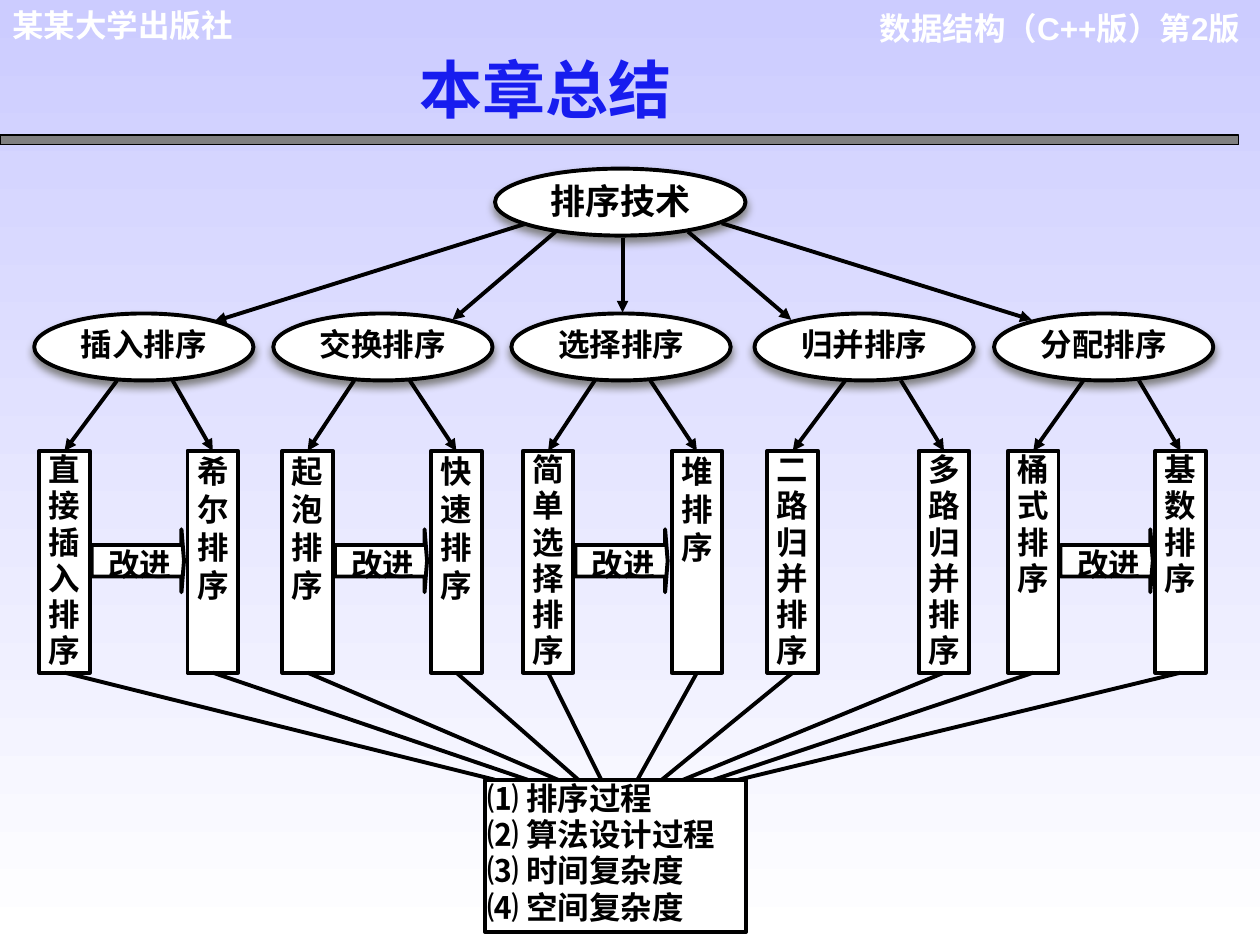
from lxml.etree import SubElement as Sub
from pptx import Presentation
from pptx.dml.color import RGBColor as Rgb
from pptx.enum.shapes import MSO_CONNECTOR as Link, MSO_SHAPE as Kind
from pptx.enum.text import MSO_ANCHOR as Anchor, PP_ALIGN as Align
from pptx.oxml.ns import qn
from pptx.util import Cm, Pt

HUES = {"ink": "000000", "paper": "FFFFFF", "sky": "CCCCFF", "title": "171CEF",
        "bar": "808080", "shade": "808080"}
SERIF, SANS = "Times New Roman", "Arial"
BAR_W, BAR_H = 1.02, 4.47

# name, ellipse left, middle of its arrows, two methods as (text, left, line spacing), improved
FAMILIES = [
    ("插入排序", 0.69, 2.92, [("直接插入排序", 0.79, 0.96), ("希尔排序", 3.78, 1)], True),
    ("交换排序", 5.51, 7.7, [("起泡排序", 5.69, 1), ("快速排序", 8.69, 1)], True),
    ("选择排序", 10.31, 12.55, [("简单选择排序", 10.54, 0.96), ("堆排序", 13.54, 1)], True),
    ("归并排序", 15.21, 17.6, [("二路归并排序", 15.47, 0.96), ("多路归并排序", 18.52, 0.96)], False),
    ("分配排序", 20.04, 22.4, [("桶式排序", 20.32, 0.96), ("基数排序", 23.29, 0.96)], True),
]
TOPICS = ["⑴ 排序过程", "⑵ 算法设计过程", "⑶ 时间复杂度", "⑷ 空间复杂度"]
# start and end of each arrow, from the corner of the root ellipse
BRANCHES = [(0.59, 1.12, -5.66, 3.08), (1.22, 1.27, -0.86, 3.05), (2.57, 1.4, 2.57, 2.9),
            (3.89, 1.27, 5.97, 3.05), (4.57, 1.1, 10.82, 3.05)]
# where the ten lines meet the topic box, from its left edge
ENDS = [0.2, 0.86, 1.47, 1.88, 2.34, 3.07, 3.56, 3.99, 4.6, 5.1]


def hue(name):
    return Rgb.from_string(HUES[name])


def write(shape, lines, size, color="ink", font=SERIF, align=Align.LEFT, gap=None,
          pads=(0.25, 0.13, 0.25, 0.13)):
    """Fill a shape with bold paragraphs; pads are left, top, right, bottom."""
    frame = shape.text_frame
    frame.word_wrap = True
    frame.vertical_anchor = Anchor.TOP
    (frame.margin_left, frame.margin_top,
     frame.margin_right, frame.margin_bottom) = map(Cm, pads)
    for i, line in enumerate(lines):
        par = frame.paragraphs[0] if i == 0 else frame.add_paragraph()
        par.text = line
        par.alignment = align
        if gap:
            par.line_spacing = gap
        par.font.size, par.font.bold, par.font.name = Pt(size), True, font
        par.font.color.rgb = hue(color)


def label(slide, box, text, size, color, font, align=Align.LEFT):
    write(slide.shapes.add_textbox(*map(Cm, box)), [text], size, color, font, align)


def block(slide, kind, box, fill="paper", width=2.25):
    shape = slide.shapes.add_shape(kind, *map(Cm, box))
    shape.shadow.inherit = False
    shape.fill.solid()
    shape.fill.fore_color.rgb = hue(fill)
    shape.line.color.rgb = hue("ink")
    shape.line.width = Pt(width)
    return shape


def oval(slide, box, text, size, foot):
    shape = block(slide, Kind.OVAL, box)
    cast = Sub(shape.element.spPr.find(qn("a:effectLst")), qn("a:outerShdw"),
               blurRad=str(Pt(5)), dist=str(Pt(3)), dir="5400000",
               algn="ctr", rotWithShape="0")
    Sub(cast, qn("a:srgbClr"), val=HUES["shade"])
    write(shape, [text], size, align=Align.CENTER, pads=(0.15, 0.03, 0.15, foot))


def join(slide, x1, y1, x2, y2, head=True):
    wire = slide.shapes.add_connector(Link.STRAIGHT, *map(Cm, (x1, y1, x2, y2)))
    wire.line.color.rgb = hue("ink")
    wire.line.width = Pt(2.25)
    if head:
        Sub(wire.line._get_or_add_ln(), qn("a:tailEnd"), type="triangle")
    Sub(wire._element.spPr, qn("a:effectLst"))
    return wire


def header(slide, x, y, w):
    label(slide, (x + w - 8.2, y + 0.05, 8.05, 1.02), "数据结构（C++版）第2版",
          18, "paper", SANS, Align.RIGHT)
    label(slide, (x, y, 6.88, 1.02), "某某大学出版社", 18, "paper", SANS)
    block(slide, Kind.RECTANGLE, (x, y + 2.72, w - 0.43, 0.2), "bar", 0.75)
    label(slide, (x + 8.2, y + 0.89, 8.23, 1.78), "本章总结", 36, "title", SERIF)


def root(slide, x, y, w, h):
    oval(slide, (x, y, w, h), "排序技术", 20, 0.13)
    for x1, y1, x2, y2 in BRANCHES:
        join(slide, x + x1, y + y1, x + x2, y + y2)


def family(slide, y, name, left, mid, methods, better):
    """Draw one family of sorts below y and return its two method bars."""
    oval(slide, (left, y, 4.42, 1.35), name, 18, 0.03)
    top = y + 2.77
    bars = []
    for side, (text, x, gap) in zip((-1, 1), methods):
        bar = block(slide, Kind.RECTANGLE, (x, top, BAR_W, BAR_H))
        write(bar, [text], 18, align=Align.CENTER, gap=gap, pads=(0.05, 0.03, 0.05, 0.03))
        wire = join(slide, mid + side * 0.56, y + 1.35, x + BAR_W / 2, top)
        wire.end_connect(bar, 0)
        bars.append(bar)
    if better:
        arrow = block(slide, Kind.RIGHT_ARROW,
                      (methods[0][1] + BAR_W + 0.04, top + 1.58, 1.86, 1.27))
        arrow.adjustments[0], arrow.adjustments[1] = 0.5, 0.04
        write(arrow, ["改进"], 18, align=Align.CENTER, pads=(0.1, 0, 0, 0))
    return bars


def topics(slide, x, y, w, h, bars):
    """Draw the topic box and a line to it from every method bar."""
    box = block(slide, Kind.RECTANGLE, (x, y, w, h))
    write(box, TOPICS, 18, align=Align.JUSTIFY, gap=0.96, pads=(0.05, 0.03, 0.05, 0.03))
    for bar, end in zip(bars, ENDS):
        wire = join(slide, x + end, y - 2, x + end, y, head=False)
        wire.begin_connect(bar, 2)


def main():
    deck = Presentation()
    deck.slide_width, deck.slide_height = Cm(25.4), Cm(19.05)
    slide = deck.slides.add_slide(deck.slide_layouts[6])
    back = slide.background.fill
    back.gradient()
    back.gradient_angle = 270
    for stop, name, place in zip(back.gradient_stops, ("sky", "paper"), (0, 1)):
        stop.color.rgb = hue(name)
        stop.position = place

    header(slide, 0, 0, 25.4)
    root(slide, 9.98, 3.4, 5.05, 1.35)
    bars = []
    for item in FAMILIES:
        bars += family(slide, 6.32, *item)
    topics(slide, 9.78, 15.72, 5.26, 3.07, bars)
    deck.save("out.pptx")


if __name__ == "__main__":
    main()
